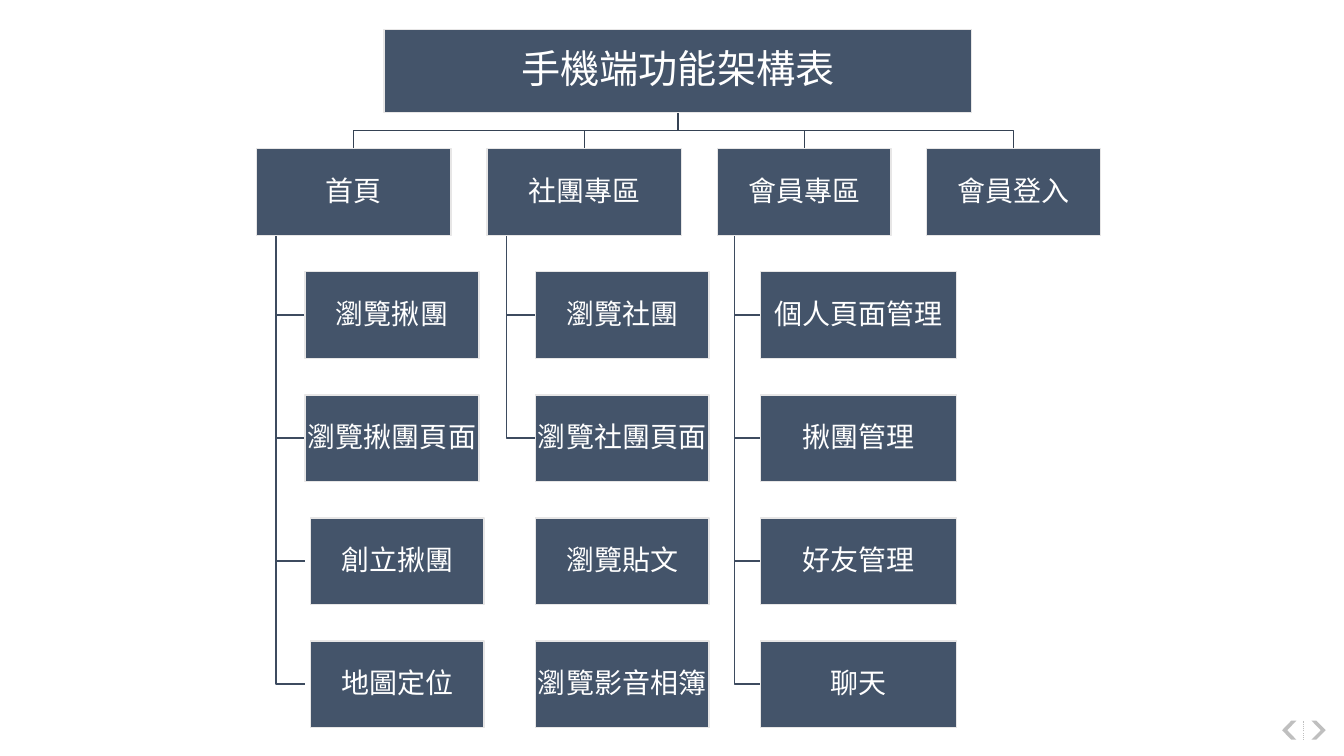
"""Build the function chart slide of the mobile app."""
from lxml import etree
from pptx import Presentation
from pptx.dml.color import RGBColor
from pptx.enum.dml import MSO_LINE
from pptx.enum.shapes import MSO_CONNECTOR, MSO_SHAPE
from pptx.enum.text import MSO_ANCHOR, PP_ALIGN
from pptx.oxml.ns import qn
from pptx.util import Cm, Pt

NAVY = RGBColor(0x44, 0x54, 0x6A)
PALE = RGBColor(0xE7, 0xE6, 0xE6)
WHITE = RGBColor(0xFF, 0xFF, 0xFF)
GRAY = RGBColor(0xBF, 0xBF, 0xBF)
TOP_LINE = RGBColor(0x35, 0x42, 0x54)
SIDE_LINE = RGBColor(0x3D, 0x4B, 0x5F)

TITLE_LEFT, TITLE_TOP, TITLE_WIDTH, TITLE_HEIGHT = 9.68, 0.75, 14.81, 2.08
TITLE_CENTER = TITLE_LEFT + TITLE_WIDTH / 2
TITLE_BOTTOM = TITLE_TOP + TITLE_HEIGHT
HEAD_TOP, ROW_STEP, BOX_HEIGHT = 3.75, 3.1, 2.18
BUS_TOP = (TITLE_BOTTOM + HEAD_TOP) / 2

columns = [
    {"head": "首頁", "left": 6.46, "width": 4.91, "item_width": 4.38, "linked": 4,
     "items": [("瀏覽揪團", 7.69), ("瀏覽揪團頁面", 7.69), ("創立揪團", 7.82), ("地圖定位", 7.82)]},
    {"head": "社團專區", "left": 12.27, "width": 4.91, "item_width": 4.38, "linked": 2,
     "items": [(name, 13.49) for name in ("瀏覽社團", "瀏覽社團頁面", "瀏覽貼文", "瀏覽影音相簿")]},
    {"head": "會員專區", "left": 18.08, "width": 4.38, "item_width": 4.95, "linked": 4,
     "items": [(name, 19.16) for name in ("個人頁面管理", "揪團管理", "好友管理", "聊天")]},
    {"head": "會員登入", "left": 23.35, "width": 4.38, "item_width": 4.38, "linked": 0, "items": []},
]

deck = Presentation()
deck.slide_width, deck.slide_height = Cm(33.87), Cm(19.05)
page = deck.slides.add_slide(deck.slide_layouts[6])


def add_box(text, left, top, width, height=BOX_HEIGHT, size=20, inset=0.03):
    box = page.shapes.add_shape(MSO_SHAPE.RECTANGLE, Cm(left), Cm(top), Cm(width), Cm(height))
    box.shadow.inherit = False
    box.fill.solid()
    box.fill.fore_color.rgb = NAVY
    box.line.color.rgb = PALE
    box.line.width = Pt(1)
    frame = box.text_frame
    frame.word_wrap = True
    frame.vertical_anchor = MSO_ANCHOR.MIDDLE
    frame.margin_left = frame.margin_right = frame.margin_top = frame.margin_bottom = Cm(inset)
    para = frame.paragraphs[0]
    para.alignment = PP_ALIGN.CENTER
    para.line_spacing = 0.9
    span = para.add_run()
    span.text = text
    span.font.name = "Arial"
    span.font.size = Pt(size)
    span.font.color.rgb = WHITE
    etree.SubElement(span.font._element, qn("a:ea"), typeface="Arial")


def add_branch(points, color):
    corners = [(Cm(x), Cm(y)) for x, y in points]
    builder = page.shapes.build_freeform(*corners[0])
    builder.add_line_segments(corners[1:], close=False)
    branch = builder.convert_to_shape()
    branch.shadow.inherit = False
    branch.fill.background()
    branch.line.color.rgb = color
    branch.line.width = Pt(1)


for column in columns:
    center = column["left"] + column["width"] / 2
    add_branch([(TITLE_CENTER, TITLE_BOTTOM), (TITLE_CENTER, BUS_TOP),
                (center, BUS_TOP), (center, HEAD_TOP)], TOP_LINE)
    trunk = column["left"] + column["width"] / 10
    for row in range(1, column["linked"] + 1):
        middle = HEAD_TOP + row * ROW_STEP + BOX_HEIGHT / 2
        add_branch([(trunk, HEAD_TOP + BOX_HEIGHT), (trunk, middle),
                    (column["items"][0][1], middle)], SIDE_LINE)

add_box("手機端功能架構表", TITLE_LEFT, TITLE_TOP, TITLE_WIDTH, TITLE_HEIGHT, size=28, inset=0.05)
for column in columns:
    add_box(column["head"], column["left"], HEAD_TOP, column["width"])
    for row, (name, left) in enumerate(column["items"], start=1):
        add_box(name, left, HEAD_TOP + row * ROW_STEP, column["item_width"])

for left, turn, notch in ((33.05, 0, 0.66), (32.31, 180, 0.64)):
    arrow = page.shapes.add_shape(MSO_SHAPE.CHEVRON, Cm(left), Cm(18.16), Cm(0.36), Cm(0.48))
    arrow.shadow.inherit = False
    arrow.adjustments[0] = notch
    arrow.rotation = turn
    arrow.fill.solid()
    arrow.fill.fore_color.rgb = GRAY
    arrow.line.fill.background()

divider = page.shapes.add_connector(MSO_CONNECTOR.STRAIGHT, Cm(32.84), Cm(18.64), Cm(32.84), Cm(18.16))
divider.line.color.rgb = GRAY
divider.line.width = Pt(0.75)
divider.line.dash_style = MSO_LINE.ROUND_DOT
etree.SubElement(divider._element.spPr, qn("a:effectLst"))

deck.save("out.pptx")
